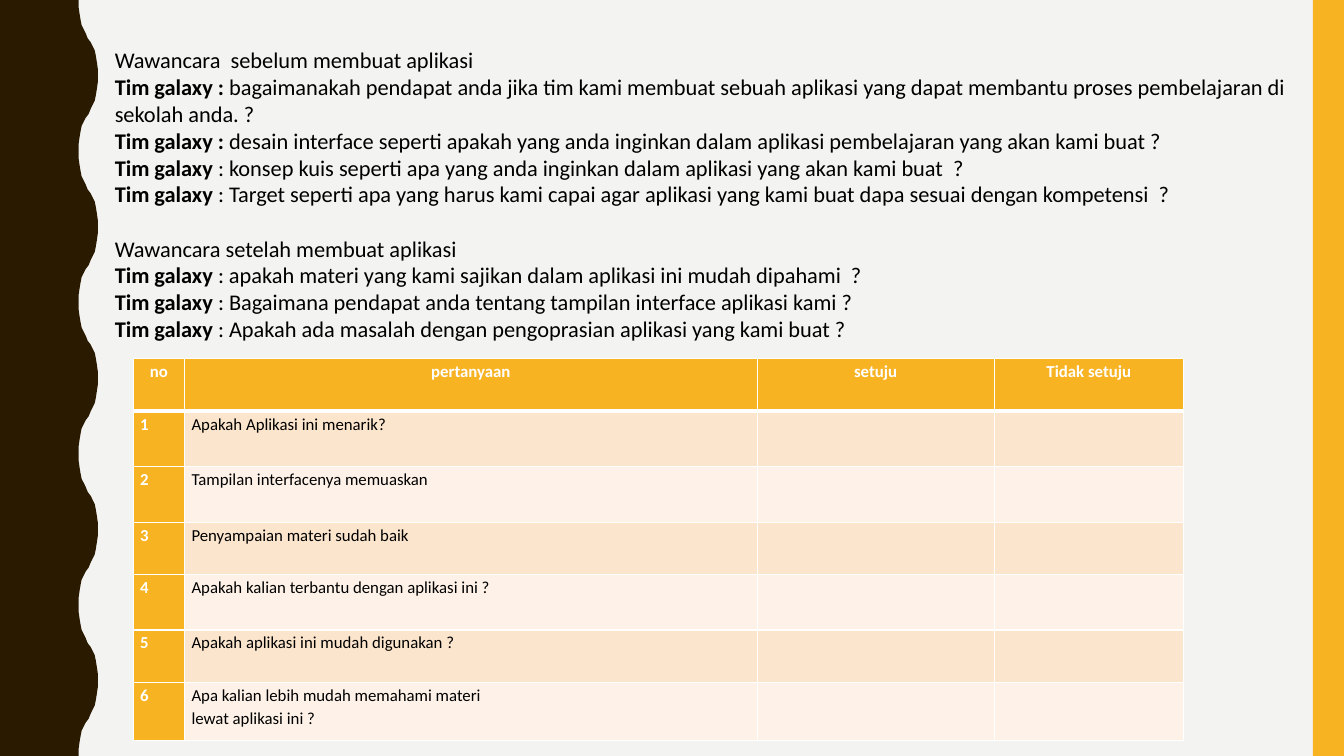
from lxml import etree
from pptx import Presentation
from pptx.dml.color import RGBColor
from pptx.enum.shapes import MSO_SHAPE
from pptx.enum.text import PP_ALIGN
from pptx.oxml.ns import qn
from pptx.util import Inches, Pt

RECTANGLE = MSO_SHAPE.RECTANGLE
CENTER = PP_ALIGN.CENTER
LEFT = PP_ALIGN.LEFT
PAPER = RGBColor(0xF3, 0xF3, 0xF2)
BROWN = RGBColor(0x2A, 0x1A, 0x00)
AMBER = RGBColor(0xF8, 0xB3, 0x23)
PEACH = RGBColor(0xFC, 0xE5, 0xCD)
CREAM = RGBColor(0xFE, 0xF2, 0xE8)
WHITE = RGBColor(0xFF, 0xFF, 0xFF)
BLACK = RGBColor(0x00, 0x00, 0x00)
FONT = "Calibri"


def style_font(font, size, color, bold):
    font.name = FONT
    font.size = Pt(size)
    font.color.rgb = color
    font.bold = bold


def set_borders(cell, widths):
    properties = cell._tc.get_or_add_tcPr()
    for position, (side, width) in enumerate(widths.items()):
        line = etree.Element(qn(f"a:ln{side}"), w=str(Pt(width)))
        solid = etree.SubElement(line, qn("a:solidFill"))
        etree.SubElement(solid, qn("a:srgbClr"), val=str(WHITE))
        properties.insert(position, line)


presentation = Presentation()
presentation.slide_width = Inches(13.33)
presentation.slide_height = Inches(7.5)
slide = presentation.slides.add_slide(presentation.slide_layouts[6])
slide.background.fill.solid()
slide.background.fill.fore_color.rgb = PAPER

HALF_WAVE = 0.75
WAVE_SUM = 1.75
quarter = [(0.78, 0), (0.78, 0.07), (0.79, 0.14), (0.8, 0.2),
           (0.81, 0.25), (0.83, 0.29), (0.85, 0.33)]
half = quarter + [(0.87, 0.38)]
half += [(WAVE_SUM - x, HALF_WAVE - y) for x, y in reversed(quarter)]
edge = []
for index in range(10):
    for x, y in half:
        edge.append((WAVE_SUM - x if index % 2 else x, y + index * HALF_WAVE))
builder = slide.shapes.build_freeform(0, 0, scale=Inches(1) / 1000)
builder.add_line_segments(
    [(round(x * 1000), round(y * 1000)) for x, y in edge + [(0, 7.5)]])
wave = builder.convert_to_shape()
stripe = slide.shapes.add_shape(
    RECTANGLE, Inches(13.02), 0, Inches(0.31), presentation.slide_height)
for shape, color in ((wave, BROWN), (stripe, AMBER)):
    shape.shadow.inherit = False
    shape.fill.solid()
    shape.fill.fore_color.rgb = color
    shape.line.fill.background()

interview = [
    ("", "Wawancara  sebelum membuat aplikasi"),
    ("Tim galaxy : ", "bagaimanakah pendapat anda jika tim kami membuat sebuah aplikasi "
     "yang dapat membantu proses pembelajaran di sekolah anda. ?"),
    ("Tim galaxy : ", "desain interface seperti apakah yang anda inginkan dalam aplikasi "
     "pembelajaran yang akan kami buat ?"),
    ("Tim galaxy", " : konsep kuis seperti apa yang anda inginkan dalam aplikasi "
     "yang akan kami buat  ?"),
    ("Tim galaxy", " : Target seperti apa yang harus kami capai agar aplikasi "
     "yang kami buat dapa sesuai dengan kompetensi  ?"),
    ("", "Wawancara setelah membuat aplikasi"),
    ("Tim galaxy ", ": apakah materi yang kami sajikan dalam aplikasi ini mudah dipahami  ?"),
    ("Tim galaxy", " : Bagaimana pendapat anda tentang tampilan interface aplikasi kami ?"),
    ("Tim galaxy", " : Apakah ada masalah dengan pengoprasian aplikasi yang kami buat ?"),
]
text_box = slide.shapes.add_textbox(Inches(1.04), Inches(0.41), Inches(11.94), Inches(3.6))
text_frame = text_box.text_frame
text_frame.word_wrap = True
for index, (speaker, words) in enumerate(interview):
    paragraph = text_frame.add_paragraph() if index else text_frame.paragraphs[0]
    if index and not speaker:
        paragraph.space_before = Pt(19.5)
    for text, bold in ((speaker, True), (words, False)):
        if text:
            run = paragraph.add_run()
            run.text = text
            style_font(run.font, 16, BLACK, bold)

survey = [
    ("no", "pertanyaan", "setuju", "Tidak setuju"),
    ("1", "Apakah Aplikasi ini menarik?", "", ""),
    ("2", "Tampilan interfacenya memuaskan", "", ""),
    ("3", "Penyampaian materi sudah baik", "", ""),
    ("4", "Apakah kalian terbantu dengan aplikasi ini ?", "", ""),
    ("5", "Apakah aplikasi ini mudah digunakan ?", "", ""),
    ("6", "Apa kalian lebih mudah memahami materi\nlewat aplikasi ini ?", "", ""),
]
column_widths = [0.51, 5.68, 2.35, 1.88]
row_heights = [0.52, 0.55, 0.55, 0.52, 0.55, 0.52, 0.58]
table = slide.shapes.add_table(
    len(row_heights), len(column_widths), Inches(1.32), Inches(3.56),
    Inches(sum(column_widths)), Inches(sum(row_heights))).table
for column, width in zip(table.columns, column_widths):
    column.width = Inches(width)
for row, height in zip(table.rows, row_heights):
    row.height = Inches(height)
for row_index, entries in enumerate(survey):
    for column_index, text in enumerate(entries):
        cell = table.cell(row_index, column_index)
        heading = row_index == 0 or column_index == 0
        cell.margin_left = cell.margin_right = Inches(0.07)
        cell.margin_top = cell.margin_bottom = 0
        cell.fill.solid()
        cell.fill.fore_color.rgb = AMBER if heading else PEACH if row_index % 2 else CREAM
        set_borders(cell, {"L": 1, "R": 1, "T": 3 if row_index == 1 else 1,
                           "B": 3 if row_index == 0 else 1})
        cell.text_frame.text = text
        for paragraph in cell.text_frame.paragraphs:
            paragraph.alignment = CENTER if row_index == 0 else LEFT
            paragraph.line_spacing = 1.15
            style_font(paragraph.font, 12, WHITE if heading else BLACK, heading)
            for run in paragraph.runs:
                style_font(run.font, 12, WHITE if heading else BLACK, heading)

presentation.save("out.pptx")
